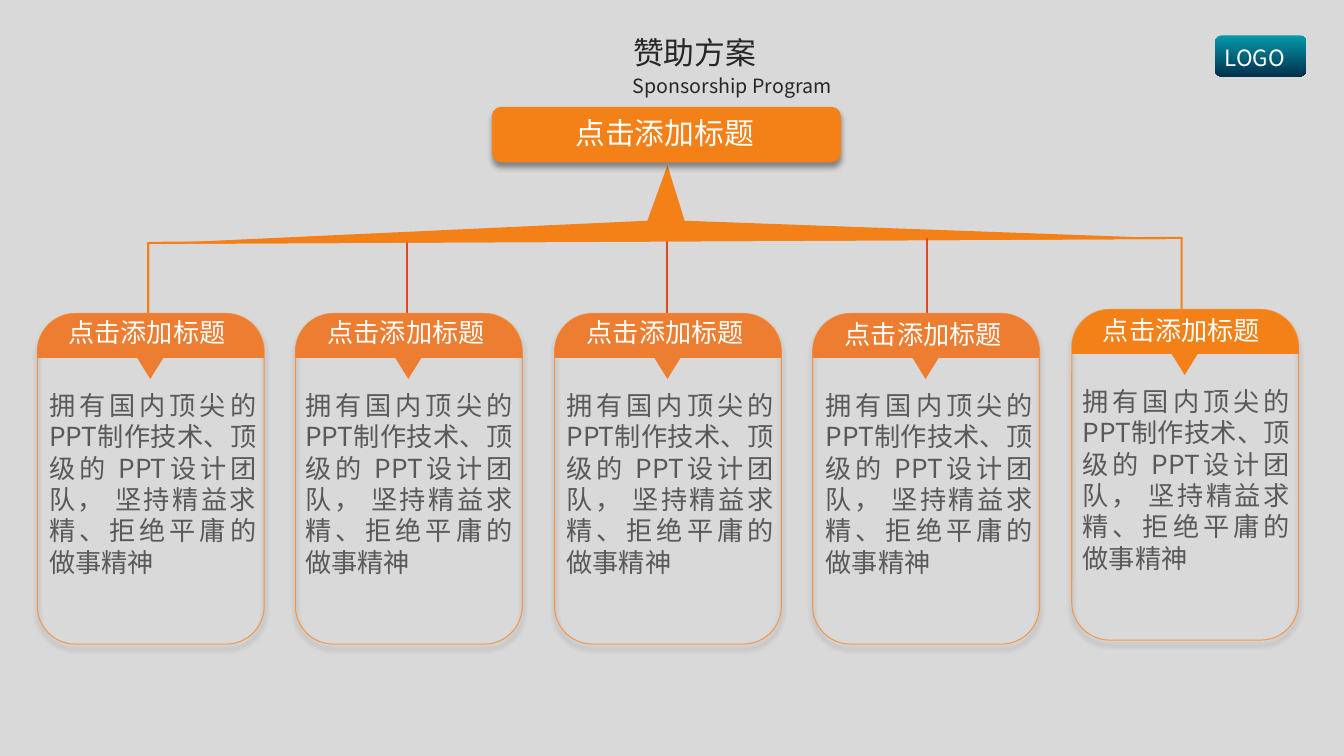
import math

import pptx
import pptx.dml.color
import pptx.enum.shapes
import pptx.enum.text
import pptx.oxml
import pptx.oxml.ns
import pptx.util

FONT = "Noto Sans CJK SC"
HUES = {
    "page": "D9D9D9", "main": "F38118", "head": "ED7D31", "edge": "F79646",
    "stem": "E14826", "white": "FFFFFF", "ink": "262626", "body": "595959",
    "teal": "049AAB", "navy": "01304C",
}
NS = 'xmlns:a="http://schemas.openxmlformats.org/drawingml/2006/main"'
SHADE = (
    f'<a:outerShdw {NS} blurRad="50800" dist="38100" dir="5400000" algn="t" '
    'rotWithShape="0"><a:srgbClr val="000000"><a:alpha val="40000"/>'
    "</a:srgbClr></a:outerShdw>"
)
LABEL = "点击添加标题"
BODY = "拥有国内顶尖的 PPT制作技术、顶级的 PPT设计团队， 坚持精益求精、拒绝平庸的做事精神"


def px(n):
    """One px is a hundredth of an inch."""
    return pptx.util.Emu(round(n * 9144))


def hue(name):
    return pptx.dml.color.RGBColor.from_string(HUES[name])


class Board:
    def __init__(self, deck):
        self.slide = deck.slides.add_slide(deck.slide_layouts[6])
        self.shapes = self.slide.shapes
        back = self.slide.background.fill
        back.solid()
        back.fore_color.rgb = hue("page")

    def paint(self, item, fill=None, line=None, width=1.5):
        item.shadow.inherit = False
        if fill:
            item.fill.solid()
            item.fill.fore_color.rgb = hue(fill)
        else:
            item.fill.background()
        if line:
            item.line.color.rgb = hue(line)
            item.line.width = pptx.util.Pt(width)
        else:
            item.line.fill.background()

    def box(self, x, y, w, h, shade=False, **look):
        kind = pptx.enum.shapes.MSO_SHAPE.ROUNDED_RECTANGLE
        item = self.shapes.add_shape(kind, px(x), px(y), px(w), px(h))
        self.paint(item, **look)
        if shade:
            effect = item._element.spPr.find(pptx.oxml.ns.qn("a:effectLst"))
            effect.append(pptx.oxml.parse_xml(SHADE))
        return item

    def badge(self, x, y, w, h, top, base):
        fill = self.box(x, y, w, h).fill
        fill.gradient()
        fill.gradient_angle = 270
        for stop, name, place in zip(fill.gradient_stops, (top, base), (0, 1)):
            stop.color.rgb = hue(name)
            stop.position = place

    def free(self, spots, close=True, **look):
        spots = [(px(x), px(y)) for x, y in spots]
        pen = self.shapes.build_freeform(*spots[0], scale=1.0)
        pen.add_line_segments(spots[1:], close=close)
        self.paint(pen.convert_to_shape(), **look)

    def stem(self, x, top, base):
        straight = pptx.enum.shapes.MSO_CONNECTOR.STRAIGHT
        item = self.shapes.add_connector(straight, px(x), px(base), px(x), px(top))
        item.line.color.rgb = hue("stem")
        item.line.width = pptx.util.Pt(1.5)
        item._element.spPr.append(pptx.oxml.parse_xml(f"<a:effectLst {NS}/>"))

    def text(self, x, y, w, h, words, size, color, wrap=True):
        frame = self.shapes.add_textbox(px(x), px(y), px(w), px(h)).text_frame
        line = frame.paragraphs[0]
        run = line.add_run()
        run.text = words
        align = pptx.enum.text.PP_ALIGN
        run.font.color.rgb = hue(color)
        looks = (
            (frame, {"word_wrap": wrap,
                     "auto_size": pptx.enum.text.MSO_AUTO_SIZE.SHAPE_TO_FIT_TEXT}),
            (line, {"alignment": align.JUSTIFY if wrap else align.LEFT,
                    "line_spacing": pptx.util.Pt(size * 1.2)}),
            (run.font, {"size": pptx.util.Pt(size), "name": FONT}),
        )
        for part, look in looks:
            for key, value in look.items():
                setattr(part, key, value)
        # East Asian glyphs need their own typeface entry
        run.font._element.append(
            pptx.oxml.parse_xml(f'<a:ea {NS} typeface="{FONT}"/>'))

    def card(self, x, y, fill, label, body):
        wide, deep, bend, mid = 225, 44, 38, 112
        self.box(x, y, wide, 328, shade=True, line="edge", width=0.75)
        # Header: two rounded top corners and a pointer below
        turns = [math.radians(a) for a in range(0, 91, 6)]
        left = [(bend - bend * math.cos(t), bend - bend * math.sin(t)) for t in turns]
        right = [(wide - a, b) for a, b in reversed(left)]
        tip = [(wide, deep), (mid + 13, deep), (mid, 65), (mid - 13, deep), (0, deep)]
        self.free([(x + a, y + b) for a, b in left + right + tip], fill=fill)
        self.text(x + label[0], y + label[1], 177, 42, LABEL, 18.7, "white", False)
        self.text(x + body, y + 70, 225, 199, BODY, 18.7, "body")


def main():
    deck = pptx.Presentation()
    deck.slide_width, deck.slide_height = px(1333), px(750)
    board = Board(deck)

    # Corner badge
    board.badge(1205, 35, 91, 41, "teal", "navy")
    board.text(1205, 39, 86, 37, "LOGO", 16, "white", False)

    # Tree: stems, bracket and beam
    board.stem(662, 236, 318)
    board.free([(147, 327), (147, 241), (1172, 236), (1172, 322)],
               close=False, line="main")
    board.stem(404, 236, 318)
    board.free([(662, 164), (642, 219), (144, 242), (1176, 237), (679, 219)],
               fill="main")
    board.stem(919, 236, 318)

    # Root title
    board.box(488, 106, 346, 55, shade=True, fill="main")
    board.text(561, 109, 200, 46, LABEL, 21.3, "white", False)

    # Cards: top, header fill, label offset, body offset
    cards = (
        (311, "head", (21, -2), 2),
        (311, "head", (22, -2), 0),
        (311, "head", (22, -2), 2),
        (311, "head", (22, 0), 3),
        (307, "main", (21, 0), 1),
    )
    for i, (y, fill, label, body) in enumerate(cards):
        board.card(37 + i * 513 // 2, y, fill, label, body)

    # Page title
    board.text(618, 29, 191, 47, "赞助方案", 22, "ink")
    board.text(618, 68, 236, 34, "Sponsorship Program", 14, "ink")

    deck.save("out.pptx")


if __name__ == "__main__":
    main()
